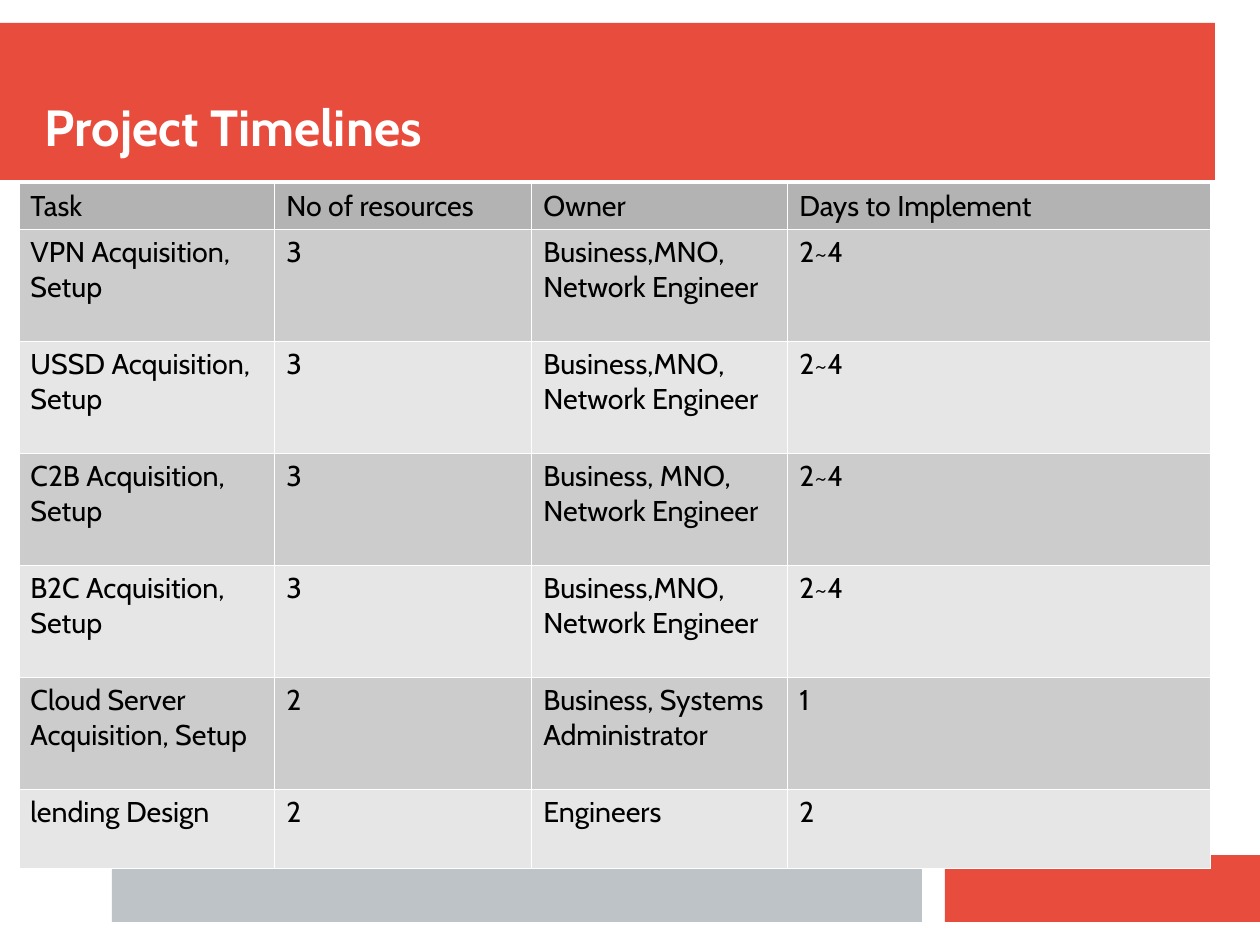
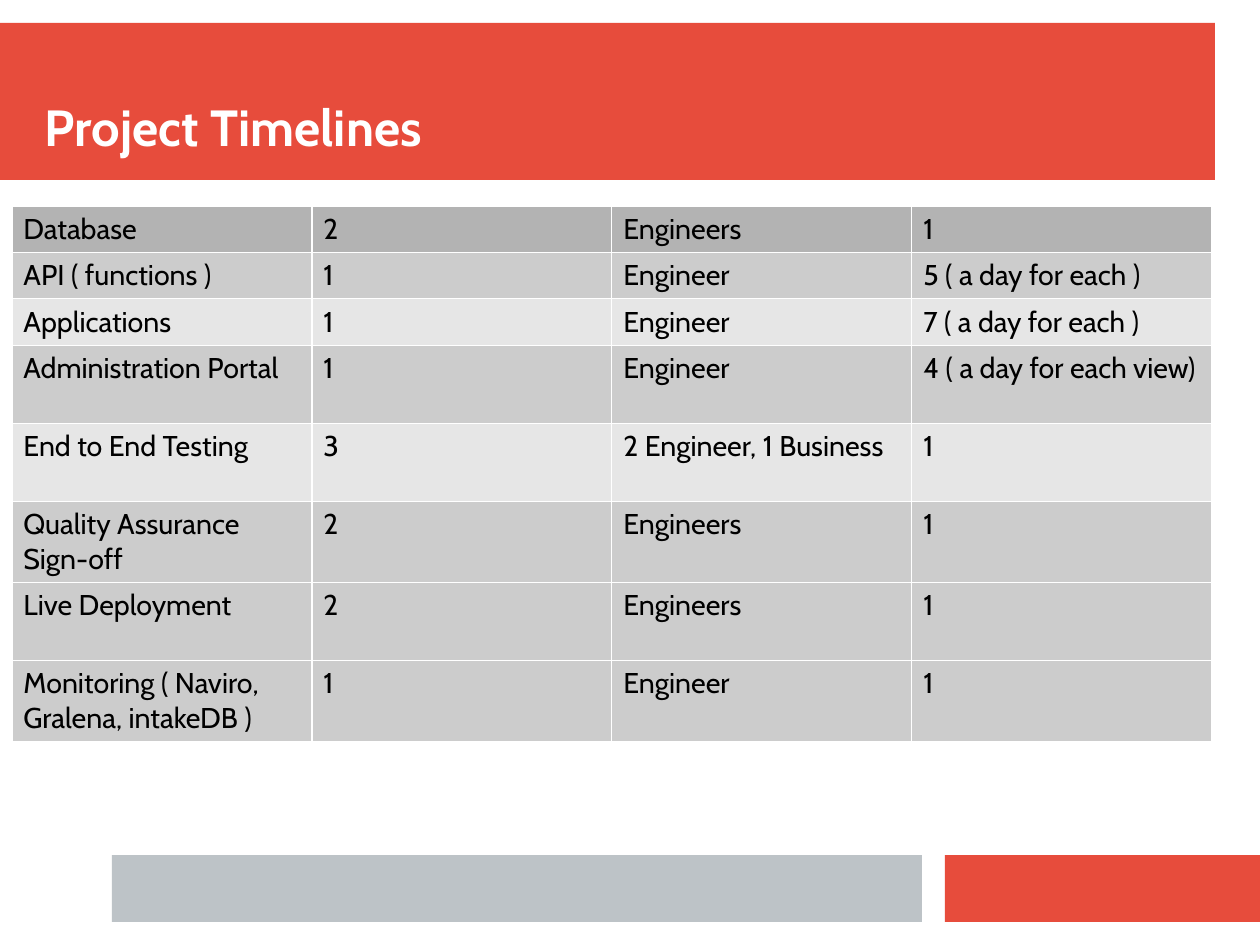
"""Build the two project timeline slides."""
from pptx import Presentation
from pptx.dml.color import RGBColor
from pptx.enum.shapes import MSO_SHAPE
from pptx.enum.text import MSO_ANCHOR, PP_ALIGN
from pptx.oxml import parse_xml
from pptx.oxml.ns import nsdecls, qn
from pptx.util import Pt

PX = 8000
FONT = "Cabin"
RED = RGBColor(0xE7, 0x4C, 0x3C)
SILVER = RGBColor(0xBD, 0xC3, 0xC7)
WHITE = RGBColor(0xFF, 0xFF, 0xFF)
BLACK = RGBColor(0x00, 0x00, 0x00)
HEADER = RGBColor(0xB3, 0xB3, 0xB3)
DARK = RGBColor(0xCC, 0xCC, 0xCC)
LIGHT = RGBColor(0xE6, 0xE6, 0xE6)
RECTANGLE = MSO_SHAPE.RECTANGLE
BOTTOM = MSO_ANCHOR.BOTTOM
LEFT = PP_ALIGN.LEFT

BANDS = [
    (0, 23, 1215, 157, RED),
    (945, 855, 315, 67, RED),
    (112, 855, 810, 67, SILVER),
]
SETUP_ROWS = [
    (46, HEADER, "Task", "No of resources", "Owner", "Days to Implement"),
    (112, DARK, "VPN Acquisition, Setup", "3", "Business,MNO, Network Engineer", "2~4"),
    (112, LIGHT, "USSD Acquisition, Setup", "3", "Business,MNO, Network Engineer", "2~4"),
    (112, DARK, "C2B Acquisition, Setup", "3", "Business, MNO, Network Engineer", "2~4"),
    (112, LIGHT, "B2C Acquisition, Setup", "3", "Business,MNO, Network Engineer", "2~4"),
    (112, DARK, "Cloud Server Acquisition, Setup", "2", "Business, Systems Administrator", "1"),
    (79, LIGHT, "lending Design", "2", "Engineers", "2"),
]
DELIVERY_ROWS = [
    (46, HEADER, "Database", "2", "Engineers", "1"),
    (46, DARK, "API ( functions )", "1", "Engineer", "5 ( a day for each )"),
    (46, LIGHT, "Applications", "1", "Engineer", "7 ( a day for each )"),
    (78, DARK, "Administration Portal", "1", "Engineer", "4 ( a day for each view)"),
    (78, LIGHT, "End to End Testing", "3", "2 Engineer, 1 Business", "1"),
    (81, DARK, "Quality Assurance Sign-off", "2", "Engineers", "1"),
    (78, DARK, "Live Deployment", "2", "Engineers", "1"),
    (81, DARK, "Monitoring ( Naviro,\nGralena, intakeDB )", "1", "Engineer", "1"),
]
TABLES = [
    (19, 183, [256, 257, 256, 423], SETUP_ROWS),
    (12, 206, [300] * 4, DELIVERY_ROWS),
]


def format_text(frame, size, color, bold=False):
    for para in frame.paragraphs:
        para.alignment = LEFT
        for span in para.runs:
            span.font.name = FONT
            span.font.size = Pt(size)
            span.font.bold = bold
            span.font.color.rgb = color


def add_timeline(page, left, top, widths, rows):
    heights = [row[0] for row in rows]
    box = [value * PX for value in (left, top, sum(widths), sum(heights))]
    frame = page.shapes.add_table(len(rows), len(widths), *box)
    table = frame.table
    table.first_row = table.horz_banding = False
    for column, width in zip(table.columns, widths):
        column.width = width * PX
    for table_row, (height, fill, *texts) in zip(table.rows, rows):
        table_row.height = height * PX
        for cell, text in zip(table_row.cells, texts):
            cell.text_frame.text = text
            format_text(cell.text_frame, 18, BLACK)
            cell.fill.solid()
            cell.fill.fore_color.rgb = fill
    for properties in frame.element.iter(qn("a:tcPr")):
        for index, side in enumerate("LRTB"):
            border = parse_xml(
                f'<a:ln{side} {nsdecls("a")} w="{Pt(0.75)}"><a:solidFill>'
                f'<a:srgbClr val="{WHITE}"/></a:solidFill></a:ln{side}>')
            properties.insert(index, border)


deck = Presentation()
deck.slide_width = 1260 * PX
deck.slide_height = 945 * PX
layout = deck.slide_layouts[5]
pages = [deck.slides.add_slide(layout) for _ in TABLES]

for number, (*box, color) in enumerate(BANDS):
    band = pages[0].shapes.add_shape(RECTANGLE, *[value * PX for value in box])
    band.shadow.inherit = False
    band.fill.solid()
    band.fill.fore_color.rgb = color
    band.line.fill.background()
    band.name = f"Band {number + 1}"
    band.element.nvSpPr.cNvPr.set("id", str(20 + number))
    layout.shapes.element.insert(2 + number, band.element)

layout_title = layout.placeholders[0]
layout_title.left, layout_title.top = 45 * PX, 45 * PX
layout_title.width, layout_title.height = 1170 * PX, 112 * PX

for page, timeline in zip(pages, TABLES):
    title = page.shapes.title.text_frame
    title.text = "Project Timelines"
    title.vertical_anchor = BOTTOM
    title.margin_left = title.margin_right = title.margin_top = title.margin_bottom = 0
    format_text(title, 32, WHITE, bold=True)
    add_timeline(page, *timeline)

deck.save("out.pptx")
